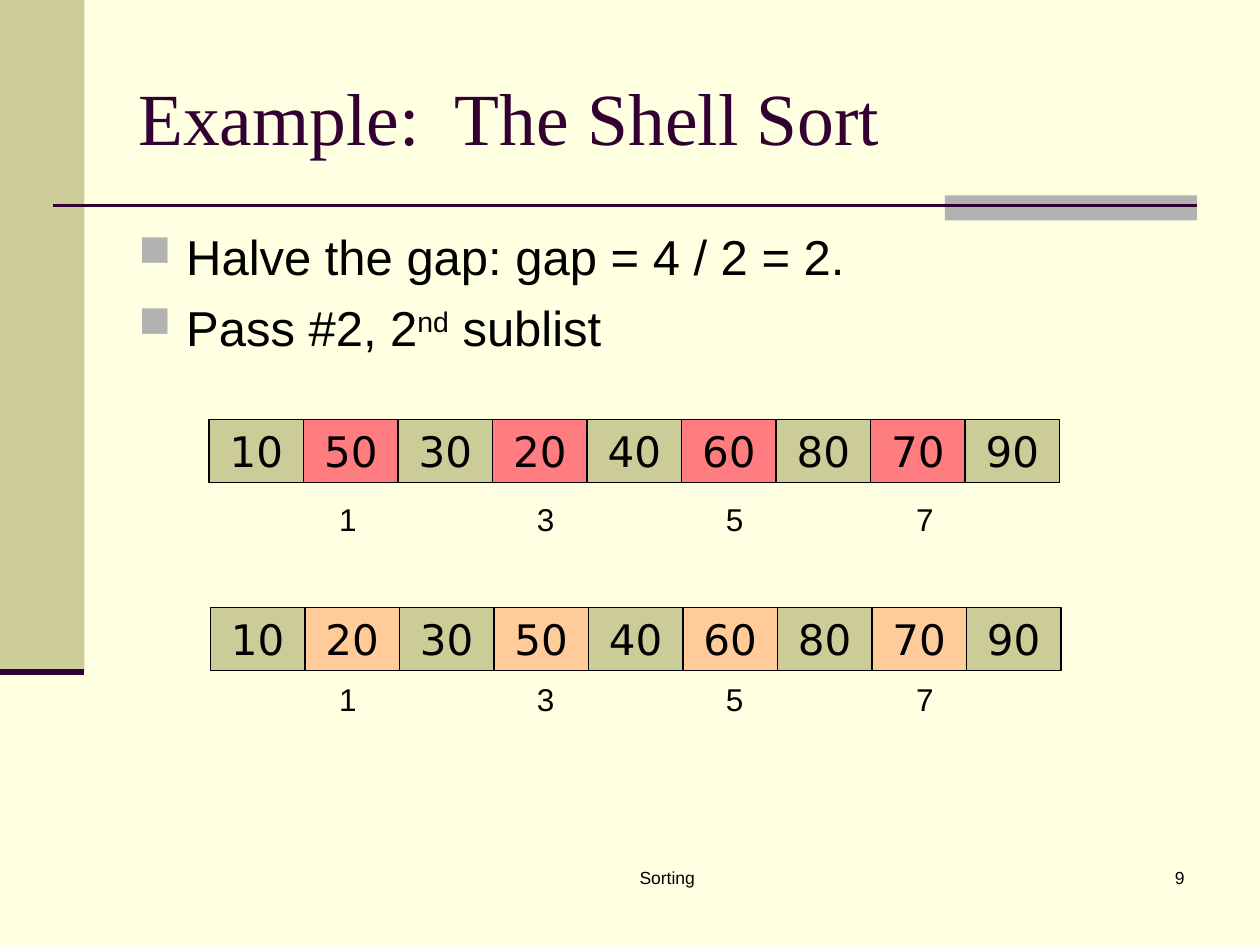
from lxml.etree import SubElement
from pptx import Presentation
from pptx.dml.color import RGBColor
from pptx.enum.shapes import MSO_CONNECTOR as Link, MSO_SHAPE as Kind
from pptx.enum.text import MSO_ANCHOR as Anchor, PP_ALIGN as Align
from pptx.oxml.ns import qn
from pptx.util import Inches, Pt

# Content
TITLE = "Example:  The Shell Sort"
POINTS = [  # each bullet is a list of (text, superscript)
    [("Halve the gap: gap = 4 / 2 = 2.", False)],
    [("Pass #2, 2", False), ("nd", True), (" sublist", False)],
]
LISTS = [  # left, top, top of the indexes, sublist colour, values
    (1.66, 3.33, 3.92, "FF7C80", [10, 50, 30, 20, 40, 60, 80, 70, 90]),
    (1.67, 4.82, 5.35, "FFCC99", [10, 20, 30, 50, 40, 60, 80, 70, 90]),
]
INDEX = {1: 2.59, 3: 4.16, 5: 5.66, 7: 7.17}  # index: left edge
FOOT = [("Sorting", 3.67, 3.25, Align.CENTER), ("9", 7.42, 2.08, Align.RIGHT)]

BLACK, PLUM, OLIVE, GRAY, CREAM = "000000", "330033", "CCCC99", "B2B2B2", "FFFFE1"
CELL_W, CELL_H = 0.75, 0.5

prs = Presentation()
prs.slide_width, prs.slide_height = Inches(10), Inches(7.5)
slide = prs.slides.add_slide(prs.slide_layouts[6])
shapes = slide.shapes


def paint(fill, color):
    fill.solid()
    fill.fore_color.rgb = RGBColor.from_string(color)


def style(para, size, color=BLACK, face="Arial", align=Align.LEFT):
    para.alignment = align
    para.font.size = Pt(size)
    para.font.name = face
    para.font.color.rgb = RGBColor.from_string(color)


def add_rect(left, top, width, height, color):
    rect = shapes.add_shape(Kind.RECTANGLE, *map(Inches, (left, top, width, height)))
    rect.shadow.inherit = False
    paint(rect.fill, color)
    rect.line.fill.background()
    return rect


def add_line(x1, x2, y, width):
    line = shapes.add_connector(Link.STRAIGHT, *map(Inches, (x1, y, x2, y)))
    paint(line.line.fill, PLUM)
    line.line.width = Pt(width)
    SubElement(line._element.spPr, qn("a:effectLst"))


def add_text(text, left, top, width, height, size, wrap=True, **look):
    frame = shapes.add_textbox(*map(Inches, (left, top, width, height))).text_frame
    frame.word_wrap = wrap
    frame.text = text
    style(frame.paragraphs[0], size, **look)
    return frame


def add_bullet(para):
    props = para._p.get_or_add_pPr()
    props.set("marL", str(Inches(0.38)))
    props.set("indent", str(Inches(-0.38)))
    color = SubElement(props, qn("a:buClr"))
    SubElement(color, qn("a:srgbClr"), val=GRAY)
    SubElement(props, qn("a:buSzPct"), val="90000")
    SubElement(props, qn("a:buChar"), char="■")


# Background and trim
paint(slide.background.fill, CREAM)
add_rect(0, 0, 0.67, 5.33, OLIVE)
add_rect(7.5, 1.55, 2, 0.2, GRAY)
add_line(0.42, 9.5, 1.63, 1.5)
add_line(0, 0.67, 5.33, 3.5)

# Footer and title
for text, left, width, align in FOOT:
    add_text(text, left, 6.83, width, 0.5, 10, align=align)
title = add_text(TITLE, 1, 0.3, 8.5, 1.25, 42, color=PLUM, face="Times New Roman")
title.vertical_anchor = Anchor.MIDDLE

# Bullets
body = add_text("", 1, 1.75, 8.5, 4.95, 28)
for i, runs in enumerate(POINTS):
    para = body.add_paragraph() if i else body.paragraphs[0]
    style(para, 28)
    para.space_before = Pt(7)
    add_bullet(para)
    for text, raised in runs:
        run = para.add_run()
        run.text = text
        if raised:
            run.font._element.set("baseline", "30000")

# Lists: the odd places form the sublist
for left, top, index_top, color, values in LISTS:
    for i, value in enumerate(values):
        cell = add_rect(left + i * CELL_W, top, CELL_W, CELL_H, color if i % 2 else OLIVE)
        paint(cell.line.fill, BLACK)
        cell.line.width = Pt(0.75)
        frame = cell.text_frame
        frame.vertical_anchor = Anchor.TOP
        frame.text = str(value)
        style(frame.paragraphs[0], 24, face="DejaVu Sans", align=Align.CENTER)
    for index, x in INDEX.items():
        add_text(str(index), x, index_top, 0.34, 0.4, 18, wrap=False, align=Align.CENTER)

prs.save("out.pptx")
